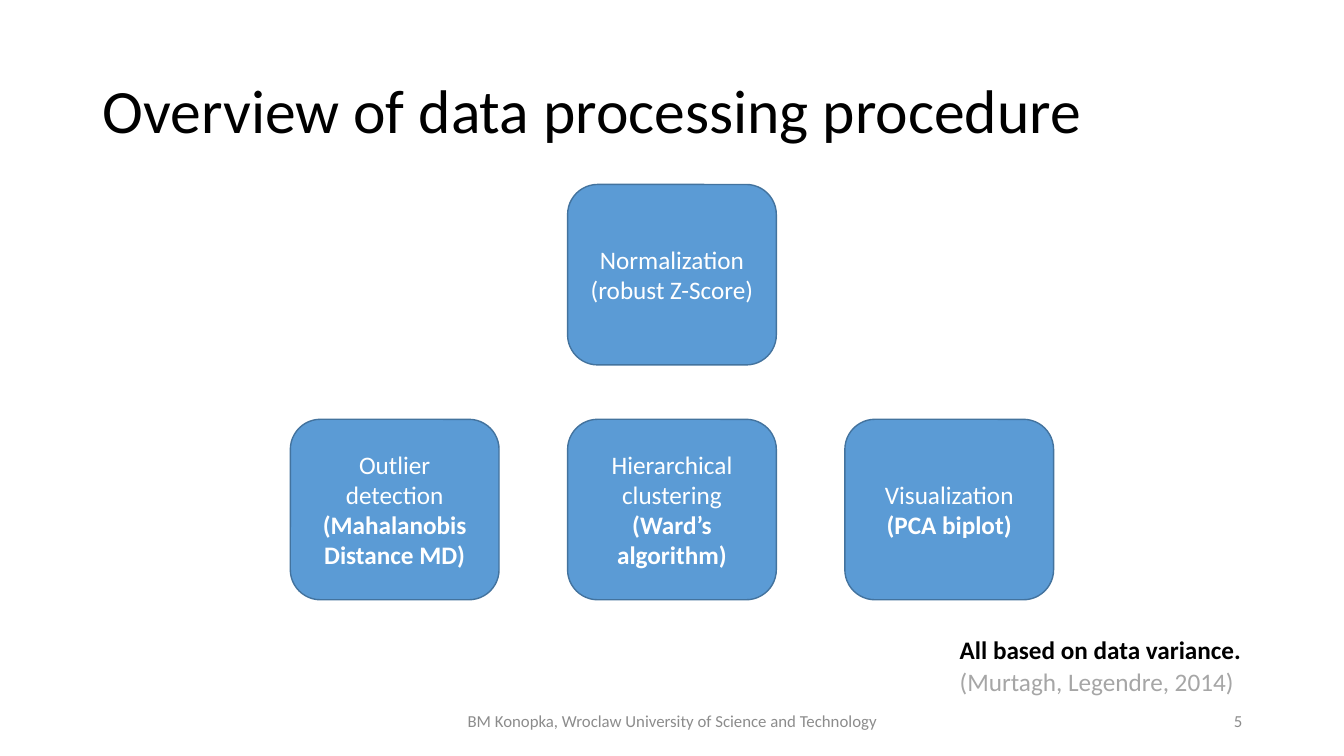
from dataclasses import dataclass

from pptx import Presentation
from pptx.dml.color import RGBColor
from pptx.enum.shapes import MSO_SHAPE as Shape
from pptx.enum.text import MSO_ANCHOR as Anchor, PP_ALIGN as Align
from pptx.slide import Slide
from pptx.text.text import TextFrame
from pptx.util import Inches, Pt


@dataclass(frozen=True)
class Theme:
    """Colours and type sizes of the slide."""
    font: str = "Calibri"
    ink: str = "000000"
    white: str = "FFFFFF"
    citation: str = "A6A6A6"
    footer: str = "8C8C8C"
    step_fill: str = "5B9BD5"
    step_line: str = "43739E"
    title_size: int = 44
    body_size: int = 18
    footer_size: int = 12


THEME = Theme()


@dataclass(frozen=True)
class Line:
    """One paragraph and its look."""
    text: str
    size: int = THEME.body_size
    color: str = THEME.ink
    bold: bool = False
    align: Align = Align.LEFT
    spacing: float = 1.0


@dataclass(frozen=True)
class Label:
    """A line of text standing on its own."""
    line: Line
    left: float
    top: float
    width: float
    height: float = 0.4
    anchor: Anchor = Anchor.MIDDLE
    wrap: bool = True


@dataclass(frozen=True)
class Step:
    """A processing step placed on a grid of columns and rows."""
    name: str
    method: str
    column: int
    row: int


STEP_LEFT, STEP_TOP = 2.88, 1.83
STEP_WIDTH, STEP_HEIGHT = 2.07, 1.79
COLUMN_PITCH, ROW_PITCH = 2.75, 2.33

LABELS = (
    Label(Line("Overview of data processing procedure", THEME.title_size, spacing=0.9),
          0.92, 0.4, 11.5, 1.45),
    Label(Line("BM Konopka, Wroclaw University of Science and Technology",
               THEME.footer_size, THEME.footer, align=Align.CENTER), 4.42, 6.95, 4.5),
    Label(Line("5", THEME.footer_size, THEME.footer, align=Align.RIGHT), 9.42, 6.95, 3),
    Label(Line("All based on data variance.", bold=True),
          9.42, 6.24, 3.72, anchor=Anchor.TOP),
    Label(Line("(Murtagh, Legendre, 2014)", color=THEME.citation),
          9.42, 6.56, 2.95, anchor=Anchor.TOP, wrap=False),
)

STEPS = (
    Step("Normalization", "(robust Z-Score)", 1, 0),
    Step("Outlier detection", "(Mahalanobis Distance MD)", 0, 1),
    Step("Hierarchical clustering", "(Ward’s algorithm)", 1, 1),
    Step("Visualization", "(PCA biplot)", 2, 1),
)


def write_lines(frame: TextFrame, lines: tuple[Line, ...], anchor: Anchor) -> None:
    """Fill a text frame with one paragraph per line."""
    frame.vertical_anchor = anchor
    for index, line in enumerate(lines):
        paragraph = frame.add_paragraph() if index else frame.paragraphs[0]
        paragraph.text = line.text
        paragraph.alignment = line.align
        paragraph.line_spacing = line.spacing
        paragraph.font.name = THEME.font
        paragraph.font.size = Pt(line.size)
        paragraph.font.bold = line.bold
        paragraph.font.color.rgb = RGBColor.from_string(line.color)


def draw_label(slide: Slide, label: Label) -> None:
    """Draw a free-standing label."""
    frame = slide.shapes.add_textbox(Inches(label.left), Inches(label.top),
                                     Inches(label.width), Inches(label.height)).text_frame
    frame.word_wrap = label.wrap
    write_lines(frame, (label.line,), label.anchor)


def draw_step(slide: Slide, step: Step) -> None:
    """Draw a rounded box naming a step and its method."""
    box = slide.shapes.add_shape(
        Shape.ROUNDED_RECTANGLE,
        Inches(STEP_LEFT + step.column * COLUMN_PITCH),
        Inches(STEP_TOP + step.row * ROW_PITCH),
        Inches(STEP_WIDTH), Inches(STEP_HEIGHT))
    box.shadow.inherit = False
    box.fill.solid()
    box.fill.fore_color.rgb = RGBColor.from_string(THEME.step_fill)
    box.line.color.rgb = RGBColor.from_string(THEME.step_line)
    box.line.width = Pt(1)
    box.text_frame.word_wrap = True
    name = Line(step.name, color=THEME.white, align=Align.CENTER)
    method = Line(step.method, color=THEME.white, bold=step.row > 0, align=Align.CENTER)
    write_lines(box.text_frame, (name, method), Anchor.MIDDLE)


def main() -> None:
    """Build the slide and save it."""
    deck = Presentation()
    deck.slide_width, deck.slide_height = Inches(13.33), Inches(7.5)
    slide = deck.slides.add_slide(deck.slide_layouts[6])
    for label in LABELS:
        draw_label(slide, label)
    for step in STEPS:
        draw_step(slide, step)
    deck.save("out.pptx")


if __name__ == "__main__":
    main()
